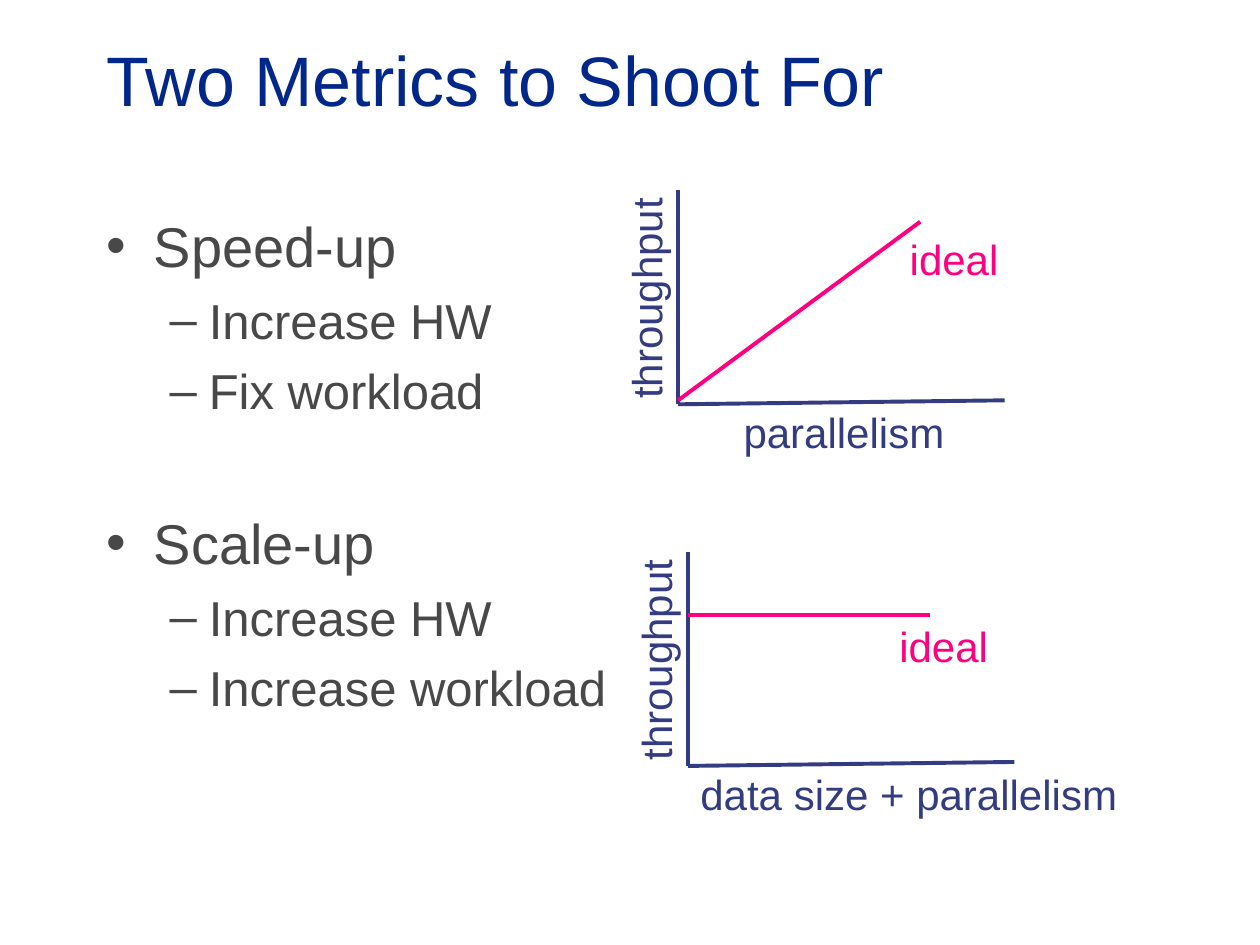
from lxml import etree
from pptx import Presentation
from pptx.dml.color import RGBColor
from pptx.enum.shapes import MSO_CONNECTOR
from pptx.enum.text import MSO_ANCHOR, PP_ALIGN
from pptx.oxml.ns import qn
from pptx.util import Cm, Pt

STRAIGHT = MSO_CONNECTOR.STRAIGHT
LEFT, MIDDLE = PP_ALIGN.LEFT, MSO_ANCHOR.MIDDLE

FONT = "Arial"
COLORS = {"title": "002789", "body": "484848", "axis": "333C80", "ideal": "FF0080"}

TITLE = "Two Metrics to Shoot For"
METRICS = [
    ("Speed-up", ["Increase HW", "Fix workload"]),
    ("Scale-up", ["Increase HW", "Increase workload"]),
]
# Lengths in cm; all places are relative to the graph's origin.
GRAPHS = [
    {"origin": (13.67, 8.15), "x_label": ("parallelism", 1.07, 4.6),
     "ideal": ((0, -0.08), (4.88, -3.68)), "ideal_label": (4.42, -3.56)},
    {"origin": (13.87, 15.44), "x_label": ("data size + parallelism", 0, 9),
     "ideal": ((0, -3.05), (4.88, -3.05)), "ideal_label": (4.01, -3.05)},
]
Y_AXIS_END, X_AXIS_END = (0, -4.32), (6.58, -0.08)
LABEL_HEIGHT = 1.3

# Bullet, left margin and hanging indent in cm, text size and space before in pt
METRIC_LEVEL = ("•", 0.95, 0.95, 32, 51)
STEP_LEVEL = ("–", 2.06, 0.79, 28, 6.6)


def add_text(paragraph, text, size, color):
    run = paragraph.add_run()
    run.text = text
    run.font.name = FONT
    run.font.size = Pt(size)
    run.font.color.rgb = RGBColor.from_string(COLORS[color])


def add_bullet(frame, text, level, first=False):
    bullet, margin, hanging, size, space = level
    paragraph = frame.paragraphs[0] if first else frame.add_paragraph()
    properties = paragraph._p.get_or_add_pPr()
    properties.set("marL", str(Cm(margin)))
    properties.set("indent", str(-Cm(hanging)))
    if not first:
        paragraph.space_before = Pt(space)
    etree.SubElement(properties, qn("a:buFont")).set("typeface", FONT)
    etree.SubElement(properties, qn("a:buChar")).set("char", bullet)
    add_text(paragraph, text, size, "body")


def add_graph(slide, graph):
    x0, y0 = graph["origin"]
    shapes = slide.shapes.add_group_shape().shapes

    def add_line(start, end, color):
        line = shapes.add_connector(
            STRAIGHT, Cm(x0 + start[0]), Cm(y0 + start[1]),
            Cm(x0 + end[0]), Cm(y0 + end[1]))
        line.line.color.rgb = RGBColor.from_string(COLORS[color])
        line.line.width = Pt(2.25)
        etree.SubElement(line._element.spPr, qn("a:effectLst"))

    def add_label(text, x, y, width, color, rotation=0):
        label = shapes.add_textbox(Cm(x0 + x), Cm(y0 + y), Cm(width), Cm(LABEL_HEIGHT))
        label.rotation = rotation
        label.text_frame.word_wrap = False
        add_text(label.text_frame.paragraphs[0], text, 24, color)

    x_text, x_offset, x_width = graph["x_label"]
    add_line((0, 0), Y_AXIS_END, "axis")
    add_line((0, 0), X_AXIS_END, "axis")
    add_label(x_text, x_offset, -0.08, x_width, "axis")
    add_label("throughput", -2.95, -2.82, 4.62, "axis", 270)
    add_line(*graph["ideal"], "ideal")
    add_label("ideal", *graph["ideal_label"], 2.31, "ideal")


def main():
    presentation = Presentation()
    presentation.slide_width, presentation.slide_height = Cm(25.4), Cm(19.05)
    slide = presentation.slides.add_slide(presentation.slide_layouts[5])

    title = slide.shapes.title
    title.left, title.top, title.width, title.height = Cm(1.9), Cm(0), Cm(21.6), Cm(3.18)
    title.text_frame.vertical_anchor = MIDDLE
    heading = title.text_frame.paragraphs[0]
    heading.alignment = LEFT
    add_text(heading, TITLE, 40, "title")

    body = slide.shapes.add_textbox(Cm(1.9), Cm(4.14), Cm(21.6), Cm(14.05)).text_frame
    body.word_wrap = True
    for index, (metric, steps) in enumerate(METRICS):
        add_bullet(body, metric, METRIC_LEVEL, first=index == 0)
        for step in steps:
            add_bullet(body, step, STEP_LEVEL)

    for graph in GRAPHS:
        add_graph(slide, graph)

    presentation.save("out.pptx")


if __name__ == "__main__":
    main()
